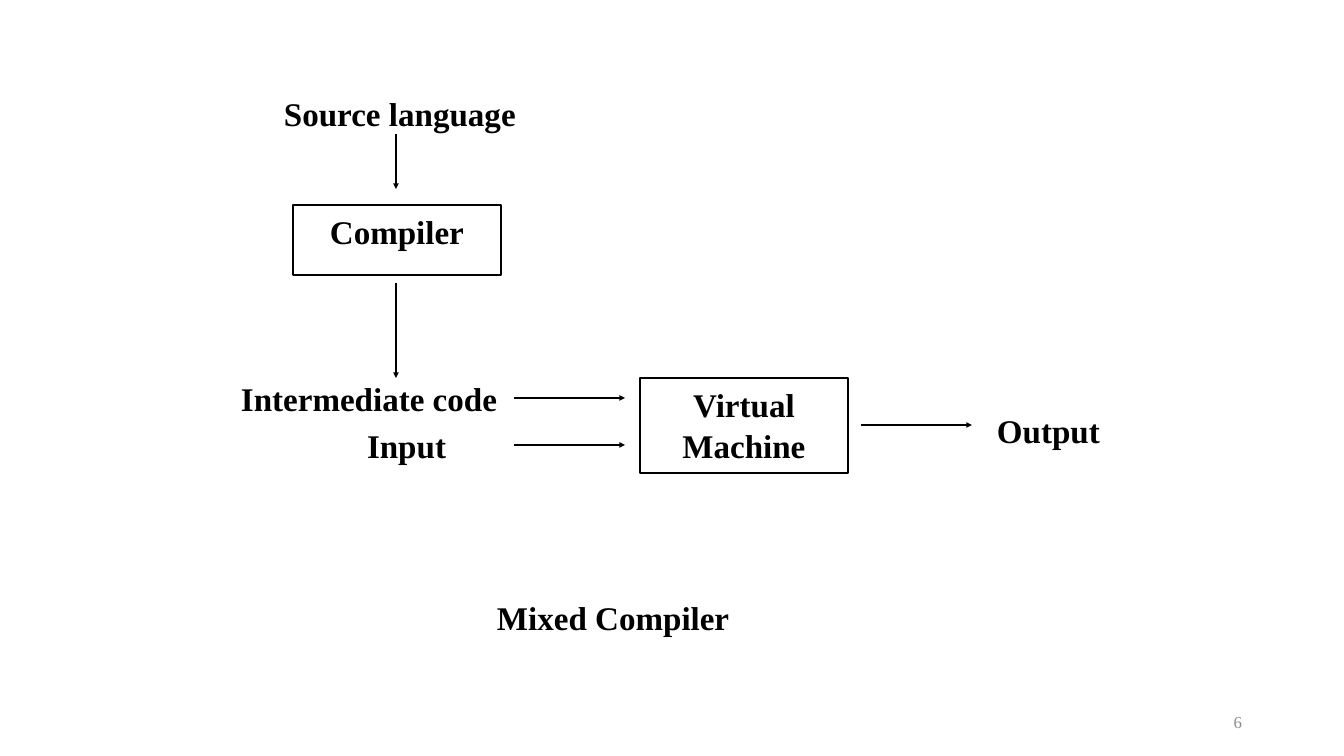
"""Build the slide that shows how a mixed compiler works."""
from lxml.etree import SubElement
from pptx import Presentation
from pptx.dml.color import RGBColor
from pptx.enum.shapes import MSO_CONNECTOR as Connector, MSO_SHAPE as Shape
from pptx.enum.text import MSO_ANCHOR as Anchor, PP_ALIGN as Align
from pptx.oxml.ns import qn
from pptx.util import Emu, Pt

COLORS = {"ink": "000000", "muted": "8C8C8C"}
FONT = "Times New Roman"
LABEL_SIZE = 23.6
LINE_WIDTH = 2
BLANK_LAYOUT = 6

STAGES = [
    ("Compiler", (293, 205, 208, 70)),
    ("Virtual Machine", (640, 378, 208, 95)),
]
LABELS = [
    ("Source language", (274, 84, 269, 50)),
    ("Intermediate code", (231, 370, 305, 50)),
    ("Input", (357, 417, 169, 50)),
    ("Output", (987, 401, 144, 50)),
]
CAPTION = ("Mixed Compiler", (496, 591, 403, 49))
PAGE_NUMBER = ("6", (950, 701, 302, 40))
ARROWS = [
    ((396, 134), (396, 189)),
    ((396, 283), (396, 378)),
    ((514, 398), (625, 398)),
    ((514, 445), (625, 445)),
    ((861, 425), (972, 425)),
]


def px(length):
    return Emu(round(length * 914400 / 100.8))


def color(name):
    return RGBColor.from_string(COLORS[name])


def write(shape, text, align=Align.LEFT, margins=(10, 7), size=LABEL_SIZE,
          bold=True, ink="ink", anchor=Anchor.TOP):
    frame = shape.text_frame
    frame.text = text
    frame.word_wrap = True
    frame.vertical_anchor = anchor
    side, top = margins
    frame.margin_left = frame.margin_right = px(side)
    frame.margin_top = px(top)
    frame.margin_bottom = px(1)
    paragraph = frame.paragraphs[0]
    paragraph.alignment = align
    paragraph.line_spacing = 1.05
    font = paragraph.runs[0].font
    font.name = FONT
    font.size = Pt(size)
    font.bold = bold
    font.color.rgb = color(ink)


def add_text(slide, text, box, **style):
    write(slide.shapes.add_textbox(*map(px, box)), text, **style)


def add_stage(slide, text, box):
    shape = slide.shapes.add_shape(Shape.RECTANGLE, *map(px, box))
    shape.shadow.inherit = False
    shape.fill.background()
    shape.line.color.rgb = color("ink")
    shape.line.width = Pt(LINE_WIDTH)
    write(shape, text, align=Align.CENTER, margins=(1, 4))


def add_arrow(slide, start, end):
    arrow = slide.shapes.add_connector(Connector.STRAIGHT, *map(px, start + end))
    arrow.line.color.rgb = color("ink")
    arrow.line.width = Pt(LINE_WIDTH)
    properties = arrow.element.spPr
    SubElement(properties.find(qn("a:ln")), qn("a:tailEnd"),
               type="triangle", w="sm", len="sm")
    SubElement(properties, qn("a:effectLst"))


def main():
    presentation = Presentation()
    presentation.slide_width = px(1344)
    presentation.slide_height = px(756)
    slide = presentation.slides.add_slide(presentation.slide_layouts[BLANK_LAYOUT])
    for text, box in STAGES:
        add_stage(slide, text, box)
    for start, end in ARROWS:
        add_arrow(slide, start, end)
    for text, box in LABELS:
        add_text(slide, text, box)
    add_text(slide, *CAPTION, align=Align.JUSTIFY, margins=(1, 4))
    add_text(slide, *PAGE_NUMBER, align=Align.RIGHT, margins=(10, 1), size=12,
             bold=False, ink="muted", anchor=Anchor.MIDDLE)
    presentation.save("out.pptx")


if __name__ == "__main__":
    main()
